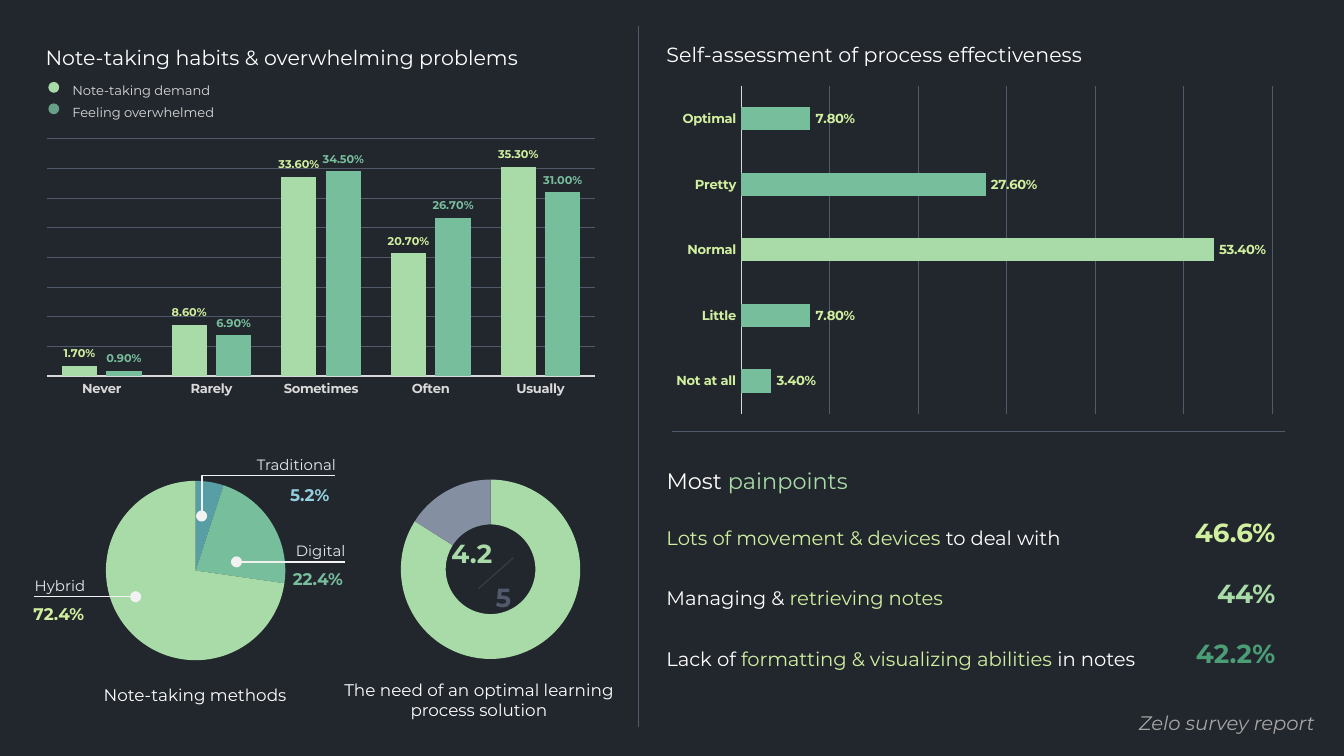
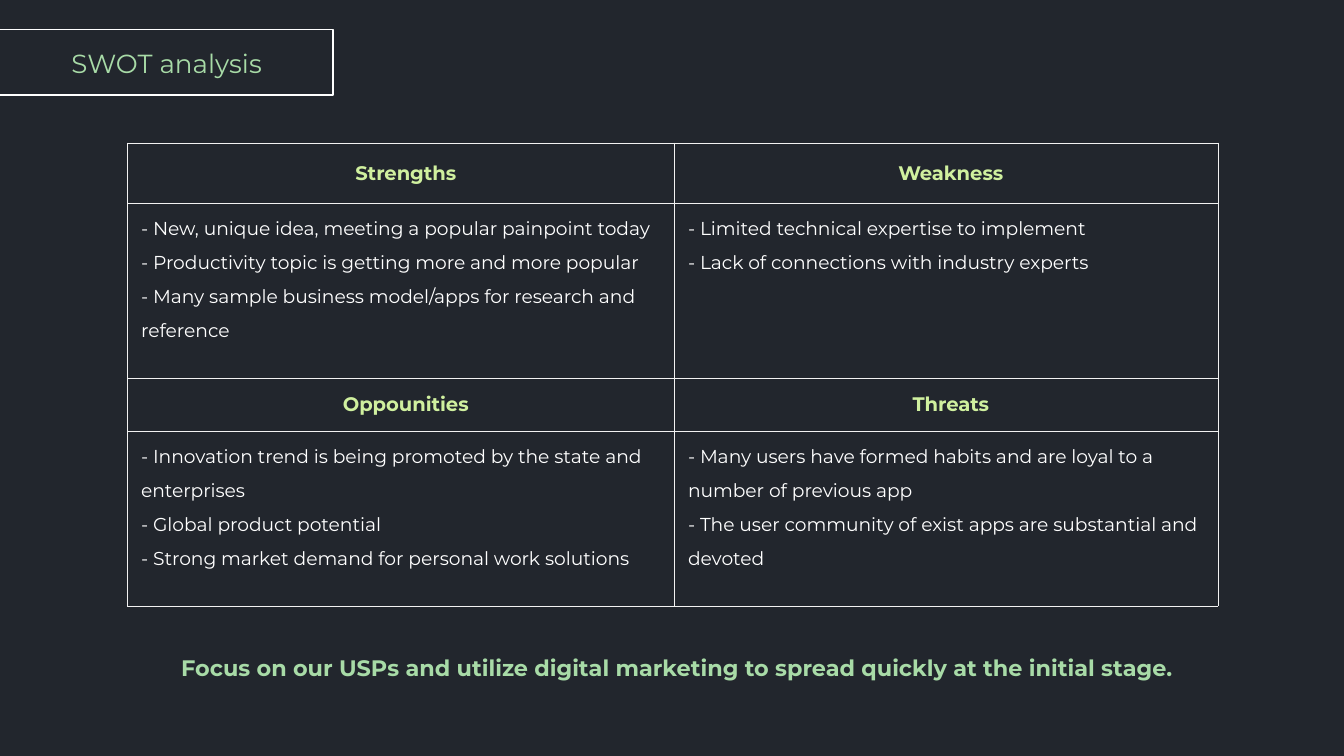
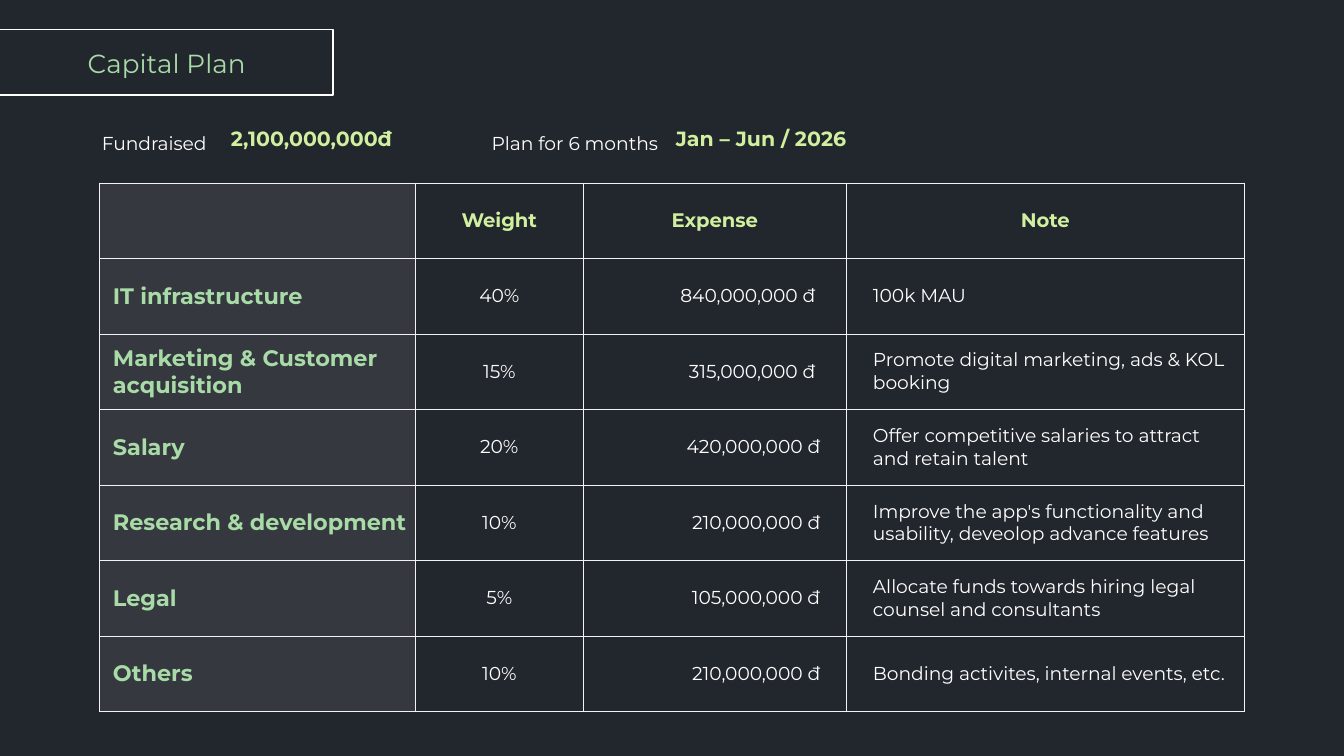
from lxml import etree
from pptx import Presentation
from pptx.chart.data import CategoryChartData
from pptx.dml.color import RGBColor
from pptx.enum.chart import XL_CHART_TYPE as CT, XL_LABEL_POSITION as LP, XL_TICK_MARK as TM
from pptx.enum.shapes import MSO_CONNECTOR as CN, MSO_SHAPE
from pptx.enum.text import MSO_ANCHOR as VA, MSO_AUTO_SIZE as FIT, PP_ALIGN as AL
from pptx.oxml.ns import qn
from pptx.util import Pt

FONT = "Montserrat"
BG = RGBColor(0x22, 0x26, 0x2D)
WHITE = RGBColor(0xFF, 0xFF, 0xFF)
OFF_WHITE = RGBColor(0xF2, 0xF2, 0xF2)
PALE = RGBColor(0xE6, 0xE9, 0xEC)
LIGHT = RGBColor(0xD9, 0xD9, 0xD9)
SHADE = RGBColor(0xDD, 0xDD, 0xDD)
GREY = RGBColor(0xA6, 0xA6, 0xA6)
STEEL = RGBColor(0x84, 0x8F, 0xA2)
SLATE = RGBColor(0x50, 0x5A, 0x6A)
DARK = RGBColor(0x35, 0x3B, 0x46)
LIME = RGBColor(0xD0, 0xF0, 0x9F)
GREEN = RGBColor(0xA8, 0xDB, 0xA7)
MINT = RGBColor(0x77, 0xBE, 0x9C)
MOSS = RGBColor(0x67, 0xA0, 0x86)
FOREST = RGBColor(0x4B, 0x9D, 0x76)
TEAL = RGBColor(0x58, 0x9E, 0xA5)
SKY = RGBColor(0x93, 0xCF, 0xDD)

HABITS = ["Never", "Rarely", "Sometimes", "Often", "Usually"]
HABIT_SERIES = [
    ("Note-taking demand", [0.017, 0.086, 0.336, 0.207, 0.353], GREEN, LIME, GREEN),
    ("Feeling overwhelmed", [0.009, 0.069, 0.345, 0.267, 0.31], MINT, MINT, MOSS),
]
RATINGS = ["Not at all", "Little", "Normal", "Pretty", "Optimal"]
RATING_VALUES = [0.034, 0.078, 0.534, 0.276, 0.078]
METHODS = [("Hybrid", 72, GREEN), ("Digital", 22, MINT), ("Traditional", 5, TEAL)]
NEED = [("Score", 84, GREEN), ("Remainder", 16, STEEL)]
CALLOUTS = [
    ("Hybrid", (11.5, 302.4, 66.2), "72.4%", (10.8, 319.7, 66.2), LIME, AL.LEFT),
    ("Digital", (126, 283.7, 66.2), "22.4%", (124.6, 301, 66.2), MINT, AL.RIGHT),
    ("Traditional", (110.2, 237.6, 77), "5.2%", (123.1, 256.3, 60.5), SKY, AL.RIGHT),
]
PAINPOINTS = [
    ([("Lots of movement & devices ", LIME), ("to deal with", WHITE)], "46.6%", LIME),
    ([("Managing & ", WHITE), ("retrieving notes", LIME)], "44%", GREEN),
    ([("Lack of ", WHITE), ("formatting & visualizing abilities", LIME), (" in notes", WHITE)],
     "42.2%", FOREST),
]
SWOT = [
    [("Strengths", [
        "- New, unique idea, meeting a popular painpoint today",
        "- Productivity topic is getting more and more popular",
        "- Many sample business model/apps for research and reference"]),
     ("Weakness", [
         "- Limited technical expertise to implement",
         "- Lack of connections with industry experts"])],
    [("Oppounities", [
        "- Innovation trend is being promoted by the state and enterprises",
        "- Global product potential",
        "- Strong market demand for personal work solutions"]),
     ("Threats", [
         "- Many users have formed habits and are loyal to a number of previous app",
         "- The user community of exist apps are substantial and devoted"])],
]
FACTS = [
    ("Fundraised", 47.5, 75.6, "2,100,000,000đ", 116.6),
    ("Plan for 6 months", 256.3, 110.9, "Jan – Jun / 2026", 355),
]
BUDGET_HEAD = ["", "Weight", "Expense", "Note"]
BUDGET = [
    ("IT infrastructure", "40%", "840,000,000 đ ", "100k MAU"),
    ("Marketing & Customer acquisition", "15%", "315,000,000 đ ",
     "Promote digital marketing, ads & KOL booking"),
    ("Salary", "20%", "420,000,000 đ",
     "Offer competitive salaries to attract and retain talent"),
    ("Research & development", "10%", "210,000,000 đ",
     "Improve the app's functionality and usability, deveolop advance features"),
    ("Legal", "5%", "105,000,000 đ",
     "Allocate funds towards hiring legal counsel and consultants"),
    ("Others", "10%", "210,000,000 đ", "Bonding activites, internal events, etc."),
]


def style_font(font, size, color, bold=False, italic=False):
    font.name, font.size, font.bold, font.italic = FONT, Pt(size), bold, italic
    font.color.rgb = color


def add_run(p, text, size, color, bold=False, italic=False):
    r = p.add_run()
    r.text = text
    style_font(r.font, size, color, bold, italic)


def add_text(s, box, runs, size, align=AL.LEFT, spacing=None, middle=False, **style):
    tb = s.shapes.add_textbox(*map(Pt, box))
    tf = tb.text_frame
    tf.word_wrap = True
    tf.auto_size = FIT.NONE if middle else FIT.SHAPE_TO_FIT_TEXT
    tf.vertical_anchor = VA.MIDDLE if middle else VA.TOP
    p = tf.paragraphs[0]
    p.alignment = align
    if spacing:
        p.line_spacing = spacing
    for text, color in runs:
        add_run(p, text, size, color, **style)


def add_shape(s, kind, box, fill=None, line=None):
    sp = s.shapes.add_shape(kind, *map(Pt, box))
    sp.shadow.inherit = False
    if fill is None:
        sp.fill.background()
    else:
        sp.fill.solid()
        sp.fill.fore_color.rgb = fill
    if line is None:
        sp.line.fill.background()
    else:
        sp.line.color.rgb, sp.line.width = line, Pt(1)


def add_line(s, start, end, color, dot=None, bend=None):
    kind = CN.STRAIGHT if bend is None else CN.ELBOW
    cn = s.shapes.add_connector(kind, *map(Pt, start + end))
    cn.line.color.rgb, cn.line.width = color, Pt(0.75)
    pr = cn._element.spPr
    if dot:
        etree.SubElement(pr.find(qn("a:ln")), qn(f"a:{dot}"), type="oval")
    if bend is not None:
        guides = pr.find(qn("a:prstGeom")).find(qn("a:avLst"))
        etree.SubElement(guides, qn("a:gd"), name="adj1", fmla=f"val {bend}")
    etree.SubElement(pr, qn("a:effectLst"))


def add_chart(s, kind, box, cats, series):
    data = CategoryChartData(number_format="General")
    data.categories = cats
    for name, values in series:
        data.add_series(name, values)
    chart = s.shapes.add_chart(kind, *map(Pt, box), data).chart
    chart.has_legend = chart.has_title = False
    style_font(chart.font, 7, LIME, True)
    return chart


def fill_point(ser, i, color):
    fill = ser.points[i].format.fill
    fill.solid()
    fill.fore_color.rgb = color


def add_round(s, kind, box, parts):
    chart = add_chart(s, kind, box, [n for n, _, _ in parts],
                      [("Share", [v for _, v, _ in parts])])
    for i, (_, _, color) in enumerate(parts):
        fill_point(chart.plots[0].series[0], i, color)
    return chart


def style_bars(chart, gap, top, step, axis_color, label_size, colors):
    plot = chart.plots[0]
    plot.gap_width, plot.vary_by_categories = gap, False
    cat, val = chart.category_axis, chart.value_axis
    cat.major_tick_mark = cat.minor_tick_mark = TM.NONE
    cat.has_major_gridlines = False
    cat.format.line.color.rgb, cat.format.line.width = LIGHT, Pt(0.75)
    style_font(cat.tick_labels.font, 7, axis_color, True)
    val.visible, val.has_major_gridlines = False, True
    val.minimum_scale, val.maximum_scale, val.major_unit = 0, top, step
    grid = val.major_gridlines.format.line
    grid.color.rgb, grid.width = SLATE, Pt(0.5)
    for ser, (color, label_color) in zip(plot.series, colors):
        ser.format.fill.solid()
        ser.format.fill.fore_color.rgb = color
        labels = ser.data_labels
        labels.show_value, labels.position = True, LP.OUTSIDE_END
        labels.number_format, labels.number_format_is_linked = "0.00%", False
        style_font(labels.font, label_size, label_color, True)


def set_plot_area(chart, **frame):
    area = chart._chartSpace.chart.plotArea
    layout = area.find(qn("c:layout"))
    if layout is None:
        layout = etree.Element(qn("c:layout"))
        area.insert(0, layout)
    manual = etree.SubElement(layout, qn("c:manualLayout"))
    rules = dict(layoutTarget="inner", xMode="edge", yMode="edge", **frame)
    for tag, value in rules.items():
        etree.SubElement(manual, qn(f"c:{tag}"), val=str(value))


def add_grid(s, x, y, cols, rows):
    tbl = s.shapes.add_table(len(rows), len(cols), Pt(x), Pt(y),
                             Pt(sum(cols)), Pt(sum(rows))).table
    tbl.first_row = tbl.horz_banding = False
    for col, w in zip(tbl.columns, cols):
        col.width = Pt(w)
    for row, h in zip(tbl.rows, rows):
        row.height = Pt(h)
    return tbl


def set_cell(cell, lines, size, color, align=AL.LEFT, left=7.2, right=2.2, bold=False,
             spacing=None, anchor=VA.MIDDLE, shaded=False):
    cell.margin_left, cell.margin_right = Pt(left), Pt(right)
    cell.margin_top = cell.margin_bottom = Pt(1.5)
    cell.vertical_anchor = anchor
    tf = cell.text_frame
    for i, line in enumerate(lines):
        p = tf.add_paragraph() if i else tf.paragraphs[0]
        p.alignment = align
        if spacing:
            p.line_spacing = spacing
        if line:
            add_run(p, line, size, color, bold)
    pr = cell._tc.get_or_add_tcPr()
    if shaded:
        cell.fill.solid()
        cell.fill.fore_color.rgb = SHADE
        etree.SubElement(next(pr.iter(qn("a:srgbClr"))), qn("a:alpha"), val="10000")
    else:
        cell.fill.background()
    for i, side in enumerate("LRTB"):
        ln = etree.Element(qn(f"a:ln{side}"), w=str(Pt(0.25)))
        solid = etree.SubElement(ln, qn("a:solidFill"))
        etree.SubElement(solid, qn("a:srgbClr"), val=str(OFF_WHITE))
        pr.insert(i, ln)


def new_slide(prs, title=None):
    s = prs.slides.add_slide(prs.slide_layouts[6])
    s.background.fill.solid()
    s.background.fill.fore_color.rgb = BG
    if title:
        add_shape(s, MSO_SHAPE.RECTANGLE, (-5, 15.8, 183.6, 35.3), line=WHITE)
        add_text(s, (0, 23.8, 178.6, 20.2), [(title, GREEN)], 14, AL.CENTER, middle=True)
    return s


def habits_panel(s):
    chart = add_chart(s, CT.COLUMN_CLUSTERED, (17.3, 63.4, 313.9, 157.7), HABITS,
                      [row[:2] for row in HABIT_SERIES])
    style_bars(chart, 86, 0.4, 0.05, LIGHT, 6, [row[2:4] for row in HABIT_SERIES])
    chart.plots[0].overlap = -27
    set_plot_area(chart, x=0.025, y=0.07, w=0.936, h=0.806)
    add_text(s, (17.3, 16.6, 298, 23),
             [("Note-taking habits & overwhelming problems", WHITE)], 11, spacing=1.3)
    for i, (name, _, _, _, dot) in enumerate(HABIT_SERIES):
        y = 38.2 + 11.5 * i
        add_shape(s, MSO_SHAPE.OVAL, (25.9, y + 5.7, 5.8, 5.8), fill=dot)
        add_text(s, (31.7, y, 148, 17.3), [(name, LIGHT)], 7, spacing=1.3)


def rating_panel(s):
    chart = add_chart(s, CT.BAR_CLUSTERED, (355.7, 42.5, 332.6, 182.9), RATINGS,
                      [("Self-assessment", RATING_VALUES)])
    style_bars(chart, 182, 0.6, 0.1, LIME, 7, [(MINT, LIME)])
    fill_point(chart.plots[0].series[0], RATINGS.index("Normal"), GREEN)
    add_text(s, (350, 15.1, 273.6, 24.5),
             [("Self-assessment of process effectiveness", WHITE)], 11, spacing=1.3)


def methods_panel(s):
    add_round(s, CT.PIE, (22.3, 247.7, 165, 116), METHODS[::-1])
    add_line(s, (72.7, 319.7), (18, 319.7), OFF_WHITE, "headEnd")
    add_line(s, (185, 301), (126.7, 301), OFF_WHITE, "tailEnd")
    add_line(s, (108, 276.5), (179.3, 254.9), OFF_WHITE, "headEnd", bend=300)
    for name, name_at, share, share_at, color, align in CALLOUTS:
        add_text(s, name_at + (18.7,), [(name, PALE)], 8, align, 1.3)
        add_text(s, share_at + (20.2,), [(share, color)], 9, align, bold=True)
    add_text(s, (25.9, 360, 157, 20.2), [("Note-taking methods", WHITE)], 9, AL.CENTER, 1.3)


def need_panel(s):
    chart = add_round(s, CT.DOUGHNUT, (162.7, 247, 200.2, 116), NEED)
    next(chart._chartSpace.iter(qn("c:holeSize"))).set("val", "70")
    add_text(s, (234.7, 282.2, 41, 28), [("4.2", GREEN)], 14, middle=True, bold=True)
    add_text(s, (258.5, 306, 26.6, 28), [("5", SLATE)], 14, middle=True, bold=True)
    add_line(s, (275, 298.8), (256.3, 315.4), DARK)
    add_text(s, (177, 360.7, 159, 28.8),
             [("The need of an optimal learning process solution", WHITE)], 9, AL.CENTER)


def painpoint_panel(s):
    add_text(s, (350, 242.6, 162, 24.5), [("Most ", WHITE), ("painpoints", GREEN)], 12,
             spacing=1.3)
    for i, (runs, share, color) in enumerate(PAINPOINTS):
        y = 274.3 + 32.5 * i
        add_text(s, (350, y, 283.7, 22.3), runs, 10.5, spacing=1.3)
        add_text(s, (631.4, y - 1.2, 59, 24.5), [(share, color)], 14, AL.RIGHT, bold=True)


def survey_slide(prs):
    s = new_slide(prs)
    for panel in (habits_panel, rating_panel, methods_panel, need_panel, painpoint_panel):
        panel(s)
    add_line(s, (342, 13.7), (342, 389.5), SLATE)
    add_line(s, (688.3, 231.1), (360, 231.1), SLATE)
    add_text(s, (594, 377.3, 117.4, 20.9), [("Zelo survey report", GREY)], 10.5, AL.RIGHT,
             italic=True)


def swot_slide(prs):
    s = new_slide(prs, "SWOT analysis")
    tbl = add_grid(s, 68.4, 76.5, [293, 291], [32.4, 93.6, 28.6, 93.6])
    for i, pair in enumerate(SWOT):
        for j, (head, points) in enumerate(pair):
            set_cell(tbl.cell(2 * i, j), [head], 10.5, LIME, AL.CENTER, bold=True)
            set_cell(tbl.cell(2 * i + 1, j), points, 10, WHITE, spacing=1.5, anchor=VA.TOP)
    add_text(s, (90, 347, 562.3, 21.6),
             [("Focus on our USPs and utilize digital marketing to spread quickly "
               "at the initial stage.", GREEN)], 12, bold=True)


def capital_slide(prs):
    s = new_slide(prs, "Capital Plan")
    tbl = add_grid(s, 53.3, 97.9, [169.2, 90, 141, 213], [40.5] * (len(BUDGET) + 1))
    for j, head in enumerate(BUDGET_HEAD):
        set_cell(tbl.cell(0, j), [head], 10.5, LIME, AL.CENTER, left=2.2, bold=True,
                 shaded=j == 0)
    styles = [
        dict(size=12, color=GREEN, bold=True, shaded=True),
        dict(size=10, color=WHITE, align=AL.CENTER, left=2.2),
        dict(size=10, color=WHITE, align=AL.RIGHT, left=2.2, right=14.2),
        dict(size=10, color=WHITE, left=14.2),
    ]
    for i, row in enumerate(BUDGET, 1):
        for j, (text, style) in enumerate(zip(row, styles)):
            set_cell(tbl.cell(i, j), [text], **style)
    for label, x, w, value, value_x in FACTS:
        add_text(s, (value_x, 63.4, 126.7, 21.6), [(value, LIME)], 11, middle=True, bold=True)
        add_text(s, (x, 63.4, w, 21.6), [(label, WHITE)], 10, spacing=1.3)


def main():
    prs = Presentation()
    prs.slide_width, prs.slide_height = Pt(720), Pt(405)
    for build in (survey_slide, swot_slide, capital_slide):
        build(prs)
    prs.save("out.pptx")


if __name__ == "__main__":
    main()
